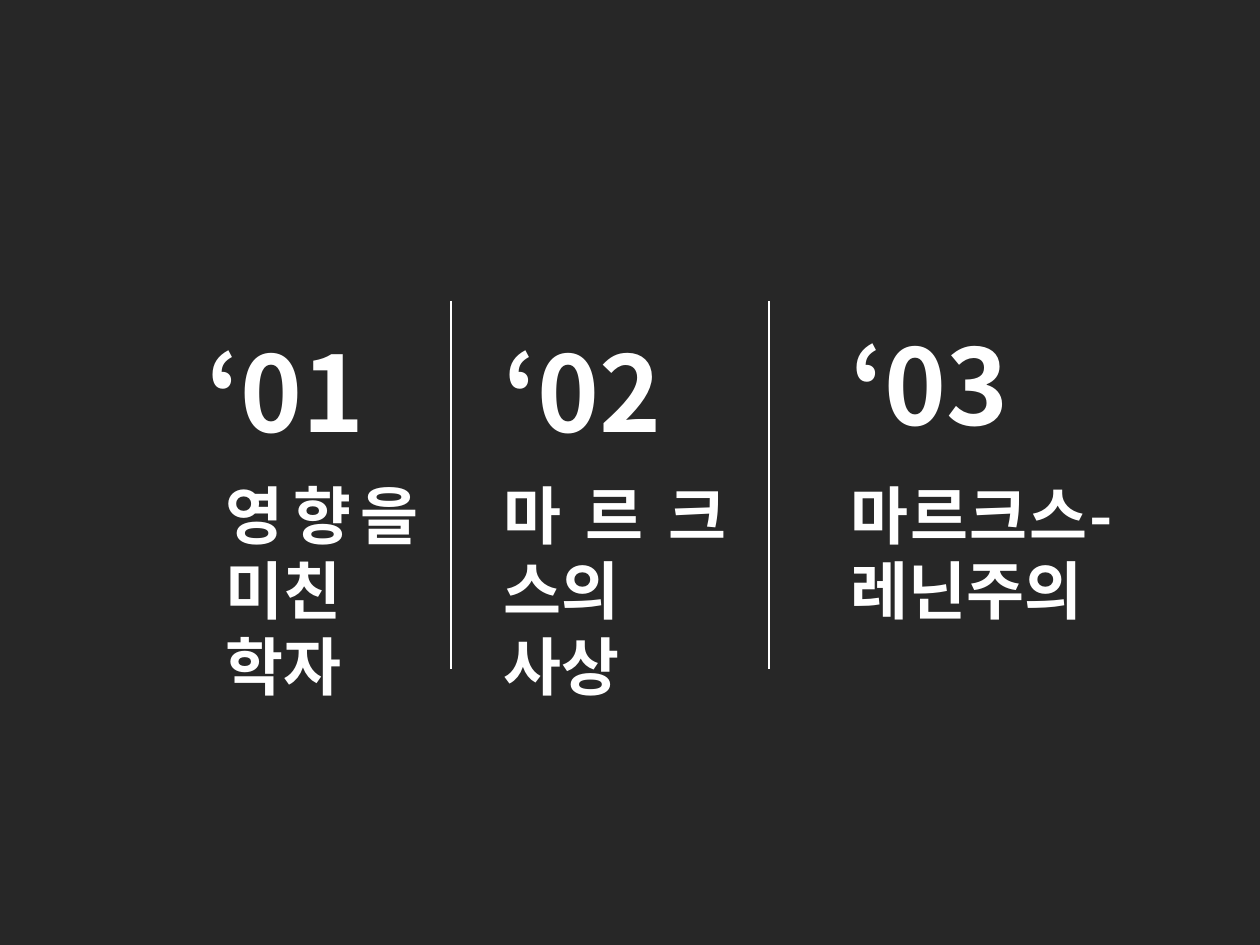
from lxml import etree
from pptx import Presentation
from pptx import util as u
from pptx.dml.color import RGBColor
from pptx.enum import shapes, text
from pptx.oxml.ns import qn

PX_PER_INCH = 126


def px(length):
    return u.Inches(length / PX_PER_INCH)


def color(hex_string):
    return RGBColor.from_string(hex_string)


class Deck:
    FONT = "Noto Sans CJK KR"
    INK = "FFFFFF"
    SHADE = "0D0D0D"
    NUMBER_SIZE = 60
    TITLE_SIZE = 36

    def __init__(self, width, height):
        self.prs = Presentation()
        self.prs.slide_width = px(width)
        self.prs.slide_height = px(height)
        self.slide = self.prs.slides.add_slide(self.prs.slide_layouts[6])

    def backdrop(self, width, height, opacity):
        shade = self.slide.shapes.add_shape(
            shapes.MSO_SHAPE.RECTANGLE, 0, 0, px(width), px(height))
        shade.shadow.inherit = False
        shade.line.fill.background()
        shade.fill.solid()
        shade.fill.fore_color.rgb = color(self.SHADE)
        tint = shade.fill._xPr.find(".//" + qn("a:srgbClr"))
        etree.SubElement(tint, qn("a:alpha"), val=str(opacity * 1000))

    def label(self, left, top, width, height, lines, size, align=None):
        box = self.slide.shapes.add_textbox(
            px(left), px(top), px(width), px(height))
        frame = box.text_frame
        frame.word_wrap = True
        frame.auto_size = text.MSO_AUTO_SIZE.SHAPE_TO_FIT_TEXT
        for index, line in enumerate(lines):
            paragraph = frame.add_paragraph() if index else frame.paragraphs[0]
            paragraph.alignment = align
            run = paragraph.add_run()
            run.text = line
            run.font.size = u.Pt(size)
            run.font.bold = True
            run.font.name = self.FONT
            run.font.color.rgb = color(self.INK)
            # Korean glyphs take the East Asian typeface
            etree.SubElement(run._r.get_or_add_rPr(), qn("a:ea"),
                             typeface=self.FONT)

    def number(self, left, top, caption):
        self.label(left, top, 382, 140, [caption], self.NUMBER_SIZE)

    def title(self, left, width, height, lines):
        self.label(left, 470, width, height, lines, self.TITLE_SIZE,
                   text.PP_ALIGN.JUSTIFY)

    def divider(self, x, top, bottom):
        rule = self.slide.shapes.add_connector(
            shapes.MSO_CONNECTOR.STRAIGHT, px(x), px(top), px(x), px(bottom))
        rule.line.color.rgb = color(self.INK)
        rule.line.width = u.Pt(0.75)
        etree.SubElement(rule._element.spPr, qn("a:effectLst"))


def main():
    deck = Deck(1260, 945)

    # Dark backdrop
    deck.backdrop(1260, 953, opacity=89)

    # Chapter numbers: left, top
    for order, (left, top) in enumerate([(194, 321), (491, 321), (838, 314)], 1):
        deck.number(left, top, f"‘0{order}")

    # Chapter titles: left, width, height, lines
    chapters = [
        (213, 218, 242, ["영향을 미친", "학자"]),
        (491, 248, 242, ["마르크스의", "사상"]),
        (838, 287, 165, ["마르크스-레닌주의"]),
    ]
    for chapter in chapters:
        deck.title(*chapter)

    # Dividers between chapters
    for x in (451, 769):
        deck.divider(x, 301, 669)

    deck.prs.save("out.pptx")


if __name__ == "__main__":
    main()
